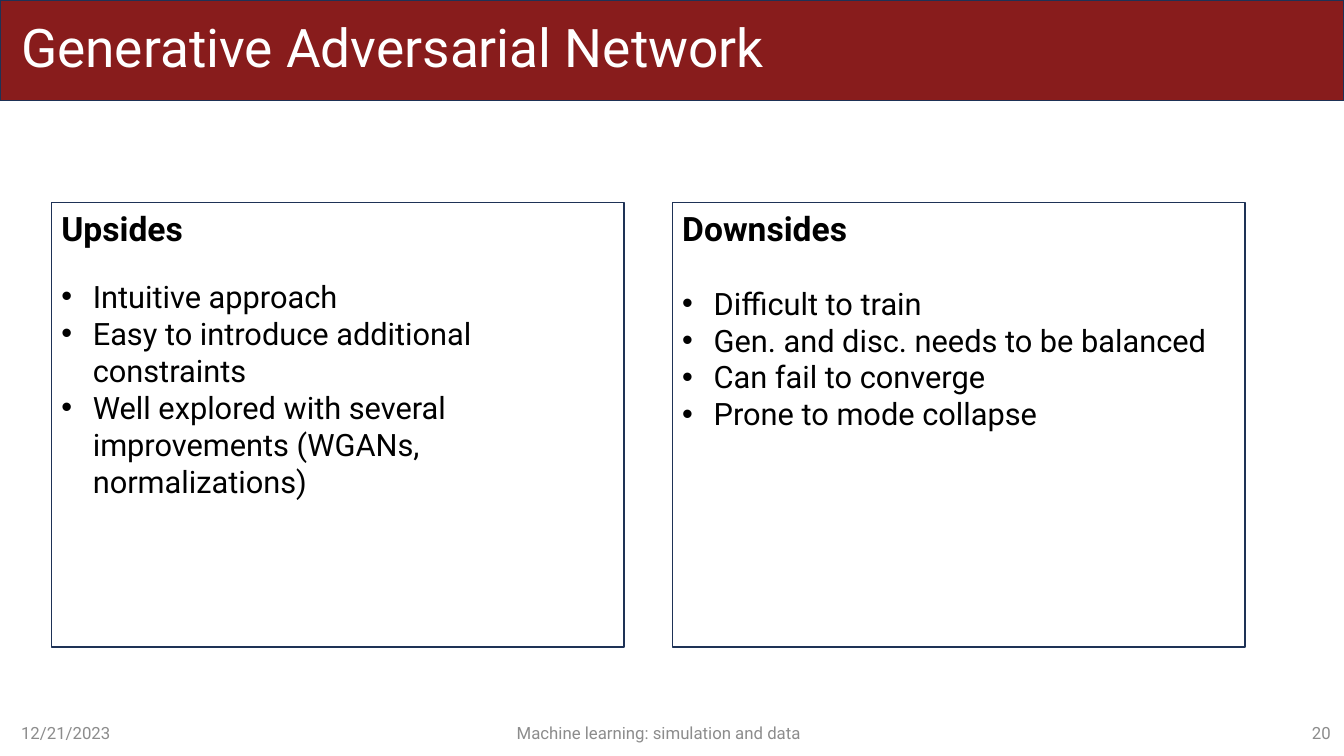
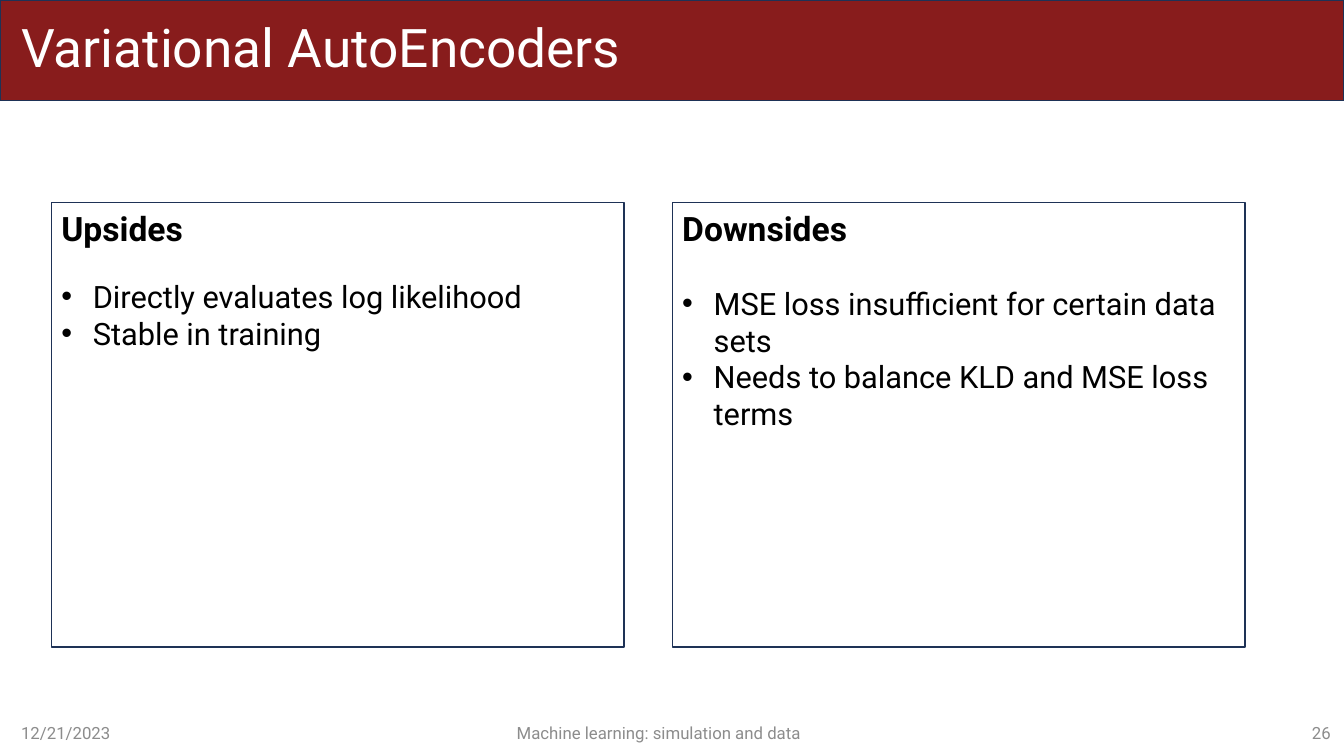
from dataclasses import dataclass

from pptx import Presentation
from pptx.dml.color import RGBColor
from pptx.enum import shapes, text
from pptx.oxml import ns, xmlchemy
from pptx.util import Pt

# Content
DATE = "12/21/2023"
COURSE = "Machine learning: simulation and data"
SLIDES = [
    {
        "title": "Generative Adversarial Network",
        "number": "20",
        "Upsides": [
            "Intuitive approach",
            "Easy to introduce additional constraints",
            "Well explored with several improvements (WGANs, normalizations)",
        ],
        "Downsides": [
            "Difficult to train",
            "Gen. and disc. needs to be balanced",
            "Can fail to converge",
            "Prone to mode collapse",
        ],
    },
    {
        "title": "Variational AutoEncoders",
        "number": "26",
        "Upsides": ["Directly evaluates log likelihood", "Stable in training"],
        "Downsides": [
            "MSE loss insufficient for certain data sets",
            "Needs to balance KLD and MSE loss terms",
        ],
    },
]


# Theme
@dataclass(frozen=True)
class Theme:
    font: str = "Roboto"
    red: str = "881C1C"
    navy: str = "1E3256"
    white: str = "FFFFFF"
    black: str = "000000"
    grey: str = "8C8C8C"
    title: int = 38
    heading: int = 24
    body: int = 22
    footer: int = 12


THEME = Theme()
ALIGN = text.PP_ALIGN
ANCHOR = text.MSO_ANCHOR

# Layout, in points
WIDTH, HEIGHT = 960, 540
BAND = (0, 0, WIDTH, 72)
TITLE = (8, 8, 833, 55.5)
FOOTER_TOP, FOOTER_HEIGHT = 509, 29
FOOTERS = {  # left, width, alignment
    "date": (8, 79.2, ALIGN.LEFT),
    "course": (99.4, 742.3, ALIGN.CENTER),
    "number": (860.4, 97.2, ALIGN.RIGHT),
}
PANEL_LEFT, PANEL_TOP, PANEL_WIDTH, PANEL_HEIGHT = 36.7, 144.7, 409, 317.5
PANEL_GAP = 34.5
INDENT = 22.5
LIST_GAPS = {"Upsides": 21.2, "Downsides": 26}  # heading to first bullet


def set_values(target, values):
    for name, value in values.items():
        setattr(target, name, value)


def style(para, size, color, bold=False, **layout):
    set_values(para, layout)
    set_values(para.font, {"name": THEME.font, "size": Pt(size), "bold": bold})
    para.font.color.rgb = RGBColor.from_string(color)


def add_bullet(para):
    props = para._p.get_or_add_pPr()
    props.set("marL", str(Pt(INDENT)))
    props.set("indent", str(-Pt(INDENT)))
    for tag, attribute, value in (("a:buFont", "typeface", "Arial"), ("a:buChar", "char", "•")):
        mark = xmlchemy.OxmlElement(tag)
        mark.set(attribute, value)
        props.append(mark)


def add_rectangle(page, place, fill):
    box = page.shapes.add_shape(shapes.MSO_SHAPE.RECTANGLE, *map(Pt, place))
    box.shadow.inherit = False
    box.fill.solid()
    box.fill.fore_color.rgb = RGBColor.from_string(fill)
    box.line.color.rgb = RGBColor.from_string(THEME.navy)
    box.line.width = Pt(1)
    return box


def add_label(page, place, words, size, color, **layout):
    frame = page.shapes.add_textbox(*map(Pt, place)).text_frame
    set_values(frame, {"word_wrap": True, "vertical_anchor": ANCHOR.MIDDLE})
    para = frame.paragraphs[0]
    para.text = words
    style(para, size, color, **layout)


def add_panel(page, column, heading, items):
    left = PANEL_LEFT + column * (PANEL_WIDTH + PANEL_GAP)
    box = add_rectangle(page, (left, PANEL_TOP, PANEL_WIDTH, PANEL_HEIGHT), THEME.white)
    frame = box.text_frame
    set_values(frame, {"word_wrap": True, "vertical_anchor": ANCHOR.TOP})
    para = frame.paragraphs[0]
    para.text = heading
    style(para, THEME.heading, THEME.black, bold=True,
          alignment=ALIGN.LEFT, space_after=Pt(LIST_GAPS[heading]))
    for item in items:
        para = frame.add_paragraph()
        para.text = item
        add_bullet(para)
        style(para, THEME.body, THEME.black, alignment=ALIGN.LEFT)


def add_frame(page, content):
    """Title band and footers shared by every slide."""
    add_rectangle(page, BAND, THEME.red)
    add_label(page, TITLE, content["title"], THEME.title, THEME.white, line_spacing=0.9)
    words = {"date": DATE, "course": COURSE, "number": content["number"]}
    for name, (left, width, alignment) in FOOTERS.items():
        add_label(page, (left, FOOTER_TOP, width, FOOTER_HEIGHT), words[name],
                  THEME.footer, THEME.grey, alignment=alignment)


def main():
    deck = Presentation()
    set_values(deck, {"slide_width": Pt(WIDTH), "slide_height": Pt(HEIGHT)})
    for content in SLIDES:
        page = deck.slides.add_slide(deck.slide_layouts[6])
        add_frame(page, content)
        for column, heading in enumerate(LIST_GAPS):
            add_panel(page, column, heading, content[heading])
    deck.save("out.pptx")


if __name__ == "__main__":
    main()
